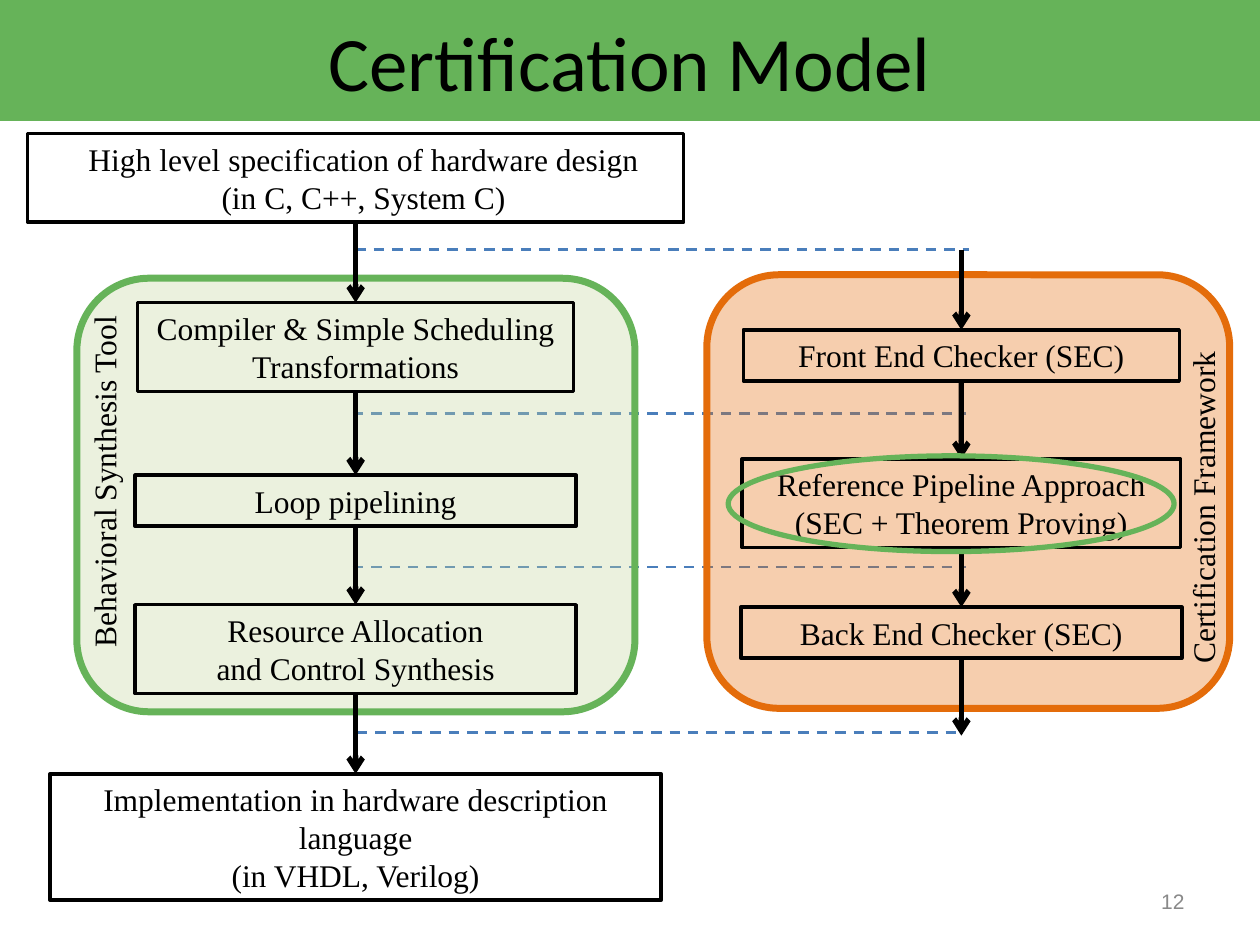
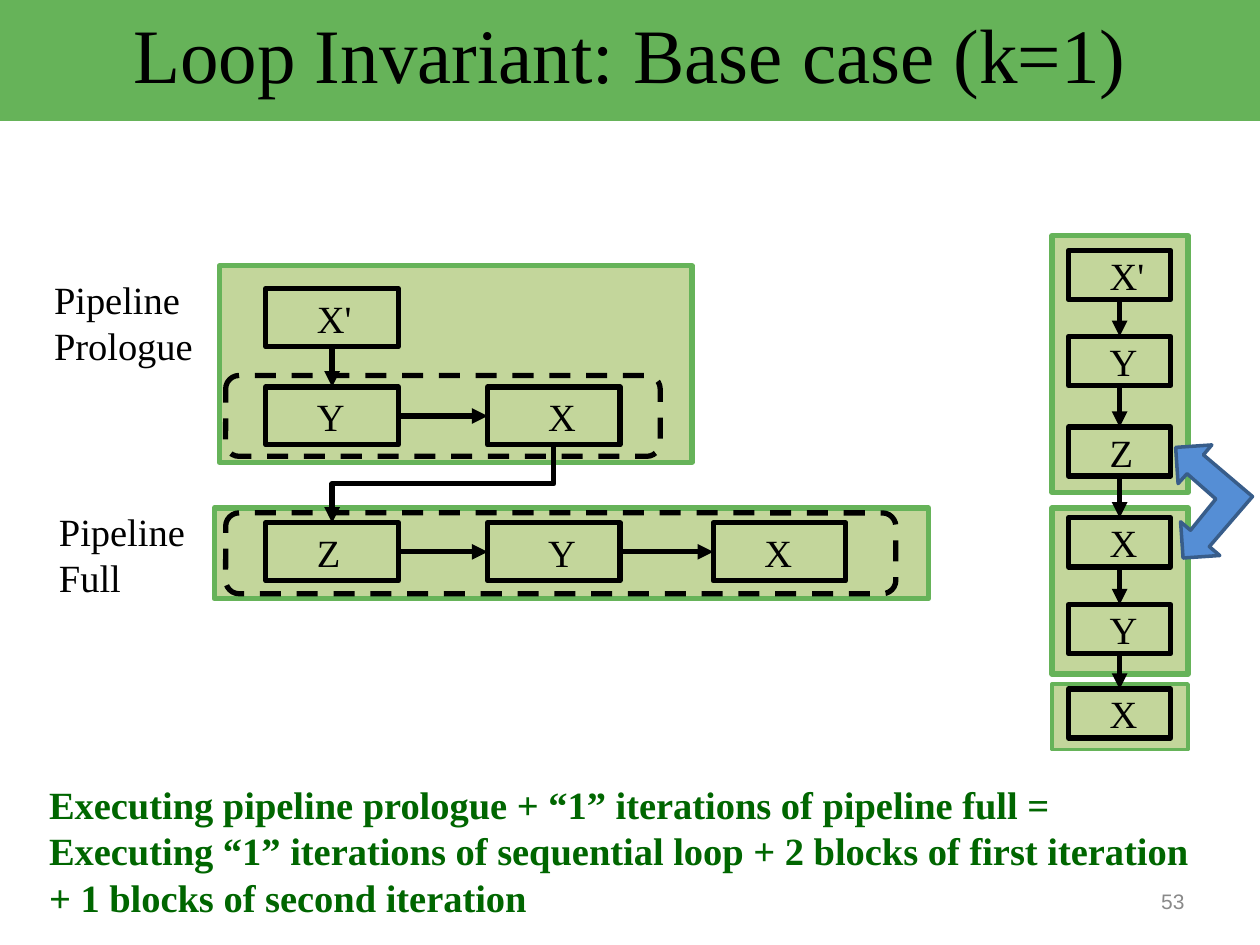
"""Build two slides on certifying behavioral synthesis and the loop invariant base case."""
from itertools import pairwise

from lxml import etree
from pptx import Presentation
from pptx.dml.color import RGBColor
from pptx.enum.dml import MSO_LINE
from pptx.enum.shapes import MSO_CONNECTOR, MSO_SHAPE
from pptx.enum.text import MSO_ANCHOR, MSO_AUTO_SIZE, PP_ALIGN
from pptx.oxml.ns import qn
from pptx.util import Cm, Pt

BLACK = RGBColor(0x00, 0x00, 0x00)
GRAY = RGBColor(0x89, 0x89, 0x89)
GREEN = RGBColor(0x66, 0xB3, 0x59)
PALE_GREEN = RGBColor(0xC3, 0xD6, 0x9B)
DARK_GREEN = RGBColor(0x00, 0x66, 0x00)
ORANGE = RGBColor(0xE4, 0x6C, 0x0A)
DASH_BLUE = RGBColor(0x4A, 0x7E, 0xBB)
ARROW_BLUE = RGBColor(0x55, 0x8E, 0xD5)
NAVY = RGBColor(0x38, 0x5D, 0x8A)

LEFT, CENTER, RIGHT = PP_ALIGN.LEFT, PP_ALIGN.CENTER, PP_ALIGN.RIGHT
TOP, MIDDLE = MSO_ANCHOR.TOP, MSO_ANCHOR.MIDDLE
RECTANGLE, ROUNDED, OVAL = MSO_SHAPE.RECTANGLE, MSO_SHAPE.ROUNDED_RECTANGLE, MSO_SHAPE.OVAL
STRAIGHT, ELBOW = MSO_CONNECTOR.STRAIGHT, MSO_CONNECTOR.ELBOW
DASH = MSO_LINE.DASH
TOP_SITE, LEFT_SITE, BOTTOM_SITE, RIGHT_SITE = range(4)

SERIF, SANS, TITLE_SANS = "Times New Roman", "Arial", "Calibri"
SLIDE_WIDTH, SLIDE_HEIGHT, BAND_HEIGHT = 25.4, 19.05, 2.44
PAGE_NUMBER_PLACE = (18.21, 17.65, 5.92, 1.02)
INSET = 0.25

# Certification model: (text, top, width, height, left inset)
TOOL_CENTER, FRAMEWORK_CENTER = 7.17, 19.38
TOOL_STEPS = [
    ("High level specification of hardware design\n(in C, C++, System C)", 2.69, 13.23, 1.79, 0.57),
    ("Compiler & Simple Scheduling Transformations", 6.1, 8.79, 1.79, INSET),
    ("Loop pipelining", 9.58, 8.89, 1.03, INSET),
    ("Resource Allocation\nand Control Synthesis", 12.19, 8.89, 1.79, INSET),
    ("Implementation in hardware description language\n(in VHDL, Verilog)", 15.6, 12.32, 2.55, INSET),
]
FRAMEWORK_STEPS = [
    ("Front End Checker (SEC)", 6.65, 8.79, 1.03, INSET),
    ("Reference Pipeline Approach\n(SEC + Theorem Proving)", 9.25, 8.84, 1.79, INSET),
    ("Back End Checker (SEC)", 12.24, 8.89, 1.03, INSET),
]
FRAMEWORK_ENTRY, FRAMEWORK_EXIT = 5.03, 14.83
CHECK_LINES = [(7.16, 19.53, 5.03), (7.11, 19.48, 8.33), (7.11, 19.48, 11.43), (7.19, 19.35, 14.76)]
PANELS = [
    ((1.55, 5.61, 11.25, 8.74), PALE_GREEN, GREEN),
    ((14.25, 5.54, 10.54, 8.74), ORANGE, ORANGE),
]
SIDE_LABELS = [
    ("Behavioral Synthesis Tool", (-1.98, 8.71, 8.15, 1.03)),
    ("Certification Framework", (20.17, 9.04, 8.15, 1.03)),
]
HIGHLIGHT_PLACE = (14.68, 9.19, 8.99, 1.93)

# Loop invariant
STAGE_PANELS = [
    ((4.42, 5.36, 9.53, 3.96), 3),
    ((4.32, 10.24, 14.4, 1.83), 3),
    ((21.21, 4.75, 2.74, 5.18), 3),
    ((21.21, 13.79, 2.74, 1.32), 2),
    ((21.21, 10.24, 2.74, 3.35), 3),
]
ITERATION_FRAMES = [(4.55, 10.34, 13.51, 1.63), (4.55, 7.57, 8.76, 1.63)]
COLUMNS, ROWS = (5.36, 9.83, 14.38), (5.82, 7.8, 10.54)
PIPELINE_BLOCKS = {
    "prologue X'": ("X'", 0, 0, 1.03),
    "prologue Y": ("Y", 0, 1, 1.03),
    "prologue X": ("X", 1, 1, 1.22),
    "full Z": ("Z", 0, 2, 1.03),
    "full Y": ("Y", 1, 2, 1.22),
    "full X": ("X", 2, 2, 1.03),
}
PIPELINE_ARROWS = [
    ("prologue X'", BOTTOM_SITE, "prologue Y", TOP_SITE),
    ("prologue Y", RIGHT_SITE, "prologue X", LEFT_SITE),
    ("full Z", RIGHT_SITE, "full Y", LEFT_SITE),
    ("full Y", RIGHT_SITE, "full X", LEFT_SITE),
]
BLOCK_SIZE, CHAIN_SIZE = (2.67, 1.17), (2.06, 0.99)
CHAIN_LEFT = 21.54
CHAIN = [("X'", 5.05), ("Y", 6.78), ("Z", 8.61), ("X", 10.44), ("Y", 12.19), ("X", 13.89)]
STAGE_LABELS = [
    ("Pipeline\nPrologue", (0.84, 5.44, 3.51, 2.13)),
    ("Pipeline\nFull", (0.94, 10.11, 3.28, 2.13)),
]
CONCLUSION = (
    "Executing pipeline prologue + “1” iterations of pipeline full =\n"
    "Executing “1” iterations of sequential loop + 2 blocks of first iteration"
    " + 1 blocks of second iteration"
)
CONCLUSION_PLACE = (0.74, 15.62, 24.03, 3.05)
DOUBLE_ARROW = [
    (23.85, 11.25), (23.8, 10.52), (24, 10.69), (24.51, 10.06), (23.93, 9.55), (23.75, 9.75),
    (23.7, 9.02), (24.43, 8.97), (24.26, 9.17), (25.25, 10.01), (24.38, 11.02), (24.59, 11.2),
]


def lengths(values):
    return [Cm(value) for value in values]


def write(shape, text, size, font=SERIF, color=BLACK, align=LEFT, anchor=TOP, bold=False, left=INSET):
    frame = shape.text_frame
    frame.text = text
    frame.word_wrap = True
    frame.auto_size = MSO_AUTO_SIZE.NONE
    frame.vertical_anchor = anchor
    frame.margin_left, frame.margin_right = Cm(left), Cm(INSET)
    frame.margin_top = frame.margin_bottom = Cm(0.13)
    for paragraph in frame.paragraphs:
        paragraph.alignment = align
        for run in paragraph.runs:
            run.font.name, run.font.size, run.font.bold = font, Pt(size), bold
            run.font.color.rgb = color


def paint(shape, fill, line, width, alpha=None):
    shape.shadow.inherit = False
    if fill is None:
        shape.fill.background()
    else:
        shape.fill.solid()
        shape.fill.fore_color.rgb = fill
    if alpha:
        color = shape.element.spPr.find(qn("a:solidFill"))[0]
        etree.SubElement(color, qn("a:alpha")).set("val", str(alpha * 1000))
    shape.line.color.rgb = line
    shape.line.width = Pt(width)


def add_shape(slide, kind, place, fill=None, line=BLACK, width=3, alpha=None):
    shape = slide.shapes.add_shape(kind, *lengths(place))
    paint(shape, fill, line, width, alpha)
    return shape


def add_label(slide, text, place, size, **style):
    label = slide.shapes.add_textbox(*lengths(place))
    write(label, text, size, **style)
    return label


def add_line(slide, ends, color=BLACK, width=3, head=None, kind=STRAIGHT):
    connector = slide.shapes.add_connector(kind, *lengths(ends))
    connector.line.color.rgb = color
    connector.line.width = Pt(width)
    if head:
        line = connector.line._get_or_add_ln()
        etree.SubElement(line, qn("a:tailEnd")).set("type", head)
    etree.SubElement(connector.element.spPr, qn("a:effectLst"))
    return connector


def join(slide, source, target, head, source_site=BOTTOM_SITE, target_site=TOP_SITE):
    connector = add_line(slide, (0, 0, 1, 1), head=head)
    connector.begin_connect(source, source_site)
    connector.end_connect(target, target_site)


def join_chain(slide, shapes, head):
    for source, target in pairwise(shapes):
        join(slide, source, target, head)


def add_slide(presentation, title, font, anchor, page):
    slide = presentation.slides.add_slide(presentation.slide_layouts[5])
    band = slide.shapes.title
    band.left, band.top, band.width, band.height = lengths((0, 0, SLIDE_WIDTH, BAND_HEIGHT))
    band.fill.solid()
    band.fill.fore_color.rgb = GREEN
    write(band, title, 44, font, align=CENTER, anchor=anchor)
    add_label(slide, page, PAGE_NUMBER_PLACE, 12, font=SANS, color=GRAY, align=RIGHT, anchor=MIDDLE)
    return slide


def add_steps(slide, steps, center):
    boxes = []
    for text, top, width, height, left in steps:
        box = add_shape(slide, RECTANGLE, (center - width / 2, top, width, height), width=2)
        write(box, text, 18, align=CENTER, left=left)
        boxes.append(box)
    join_chain(slide, boxes, "arrow")


def add_block(slide, text, left, top, size, indent):
    block = add_shape(slide, RECTANGLE, (left, top, *size))
    write(block, text, 22, anchor=MIDDLE, left=indent)
    return block


def build_certification(presentation):
    slide = add_slide(presentation, "Certification Model", TITLE_SANS, MIDDLE, "12")
    for start, end, height in CHECK_LINES:
        add_line(slide, (start, height, end, height), DASH_BLUE, 1.5).line.dash_style = DASH
    for place, fill, line in PANELS:
        add_shape(slide, ROUNDED, place, fill, line, 4, alpha=33)
    add_steps(slide, TOOL_STEPS, TOOL_CENTER)
    add_steps(slide, FRAMEWORK_STEPS, FRAMEWORK_CENTER)
    first_top = FRAMEWORK_STEPS[0][1]
    last_bottom = FRAMEWORK_STEPS[-1][1] + FRAMEWORK_STEPS[-1][3]
    for start, end in ((FRAMEWORK_ENTRY, first_top), (last_bottom, FRAMEWORK_EXIT)):
        add_line(slide, (FRAMEWORK_CENTER, start, FRAMEWORK_CENTER, end), head="arrow")
    for text, place in SIDE_LABELS:
        add_label(slide, text, place, 18).rotation = 270
    add_shape(slide, OVAL, HIGHLIGHT_PLACE, line=GREEN)


def add_feedback(slide):
    """Draw the elbow from the prologue's last block down to the full stage's first."""
    width, height = BLOCK_SIZE
    start_x, end_x = COLUMNS[1] + width / 2, COLUMNS[0] + width / 2
    start_y, end_y = ROWS[1] + height, ROWS[2]
    center_x, center_y = (start_x + end_x) / 2, (start_y + end_y) / 2
    half_drop, half_run = (end_y - start_y) / 2, (start_x - end_x) / 2
    ends = (center_x - half_drop, center_y - half_run, center_x + half_drop, center_y + half_run)
    elbow = add_line(slide, ends, head="triangle", kind=ELBOW)
    elbow.element.spPr.find(qn("a:xfrm")).set("rot", "5400000")


def build_loop_invariant(presentation):
    slide = add_slide(presentation, "Loop Invariant: Base case (k=1)", SERIF, TOP, "53")
    for place, width in STAGE_PANELS:
        add_shape(slide, RECTANGLE, place, PALE_GREEN, GREEN, width)
    for place in ITERATION_FRAMES:
        add_shape(slide, ROUNDED, place).line.dash_style = DASH
    blocks = {
        name: add_block(slide, text, COLUMNS[column], ROWS[row], BLOCK_SIZE, indent)
        for name, (text, column, row, indent) in PIPELINE_BLOCKS.items()
    }
    for source, source_site, target, target_site in PIPELINE_ARROWS:
        join(slide, blocks[source], blocks[target], "triangle", source_site, target_site)
    add_feedback(slide)
    chain = [add_block(slide, text, CHAIN_LEFT, top, CHAIN_SIZE, 0.83) for text, top in CHAIN]
    join_chain(slide, chain, "triangle")
    for text, place in STAGE_LABELS:
        add_label(slide, text, place, 22)
    add_label(slide, CONCLUSION, CONCLUSION_PLACE, 22, color=DARK_GREEN, bold=True)
    start, *corners = [lengths(point) for point in DOUBLE_ARROW]
    outline = slide.shapes.build_freeform(*start)
    outline.add_line_segments(corners, close=True)
    paint(outline.convert_to_shape(), ARROW_BLUE, NAVY, 2)


def main():
    presentation = Presentation()
    presentation.slide_width, presentation.slide_height = lengths((SLIDE_WIDTH, SLIDE_HEIGHT))
    build_certification(presentation)
    build_loop_invariant(presentation)
    presentation.save("out.pptx")


if __name__ == "__main__":
    main()
